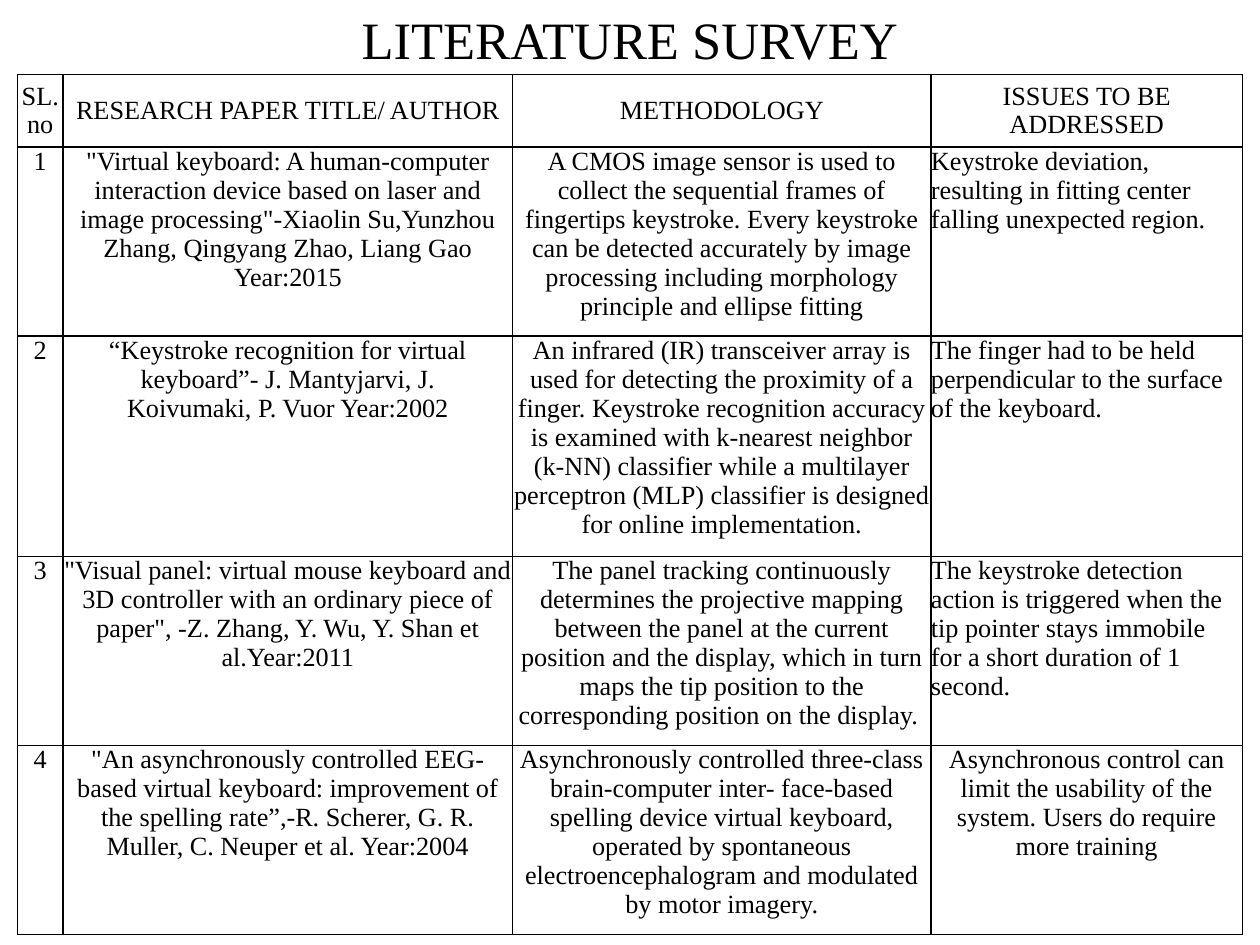
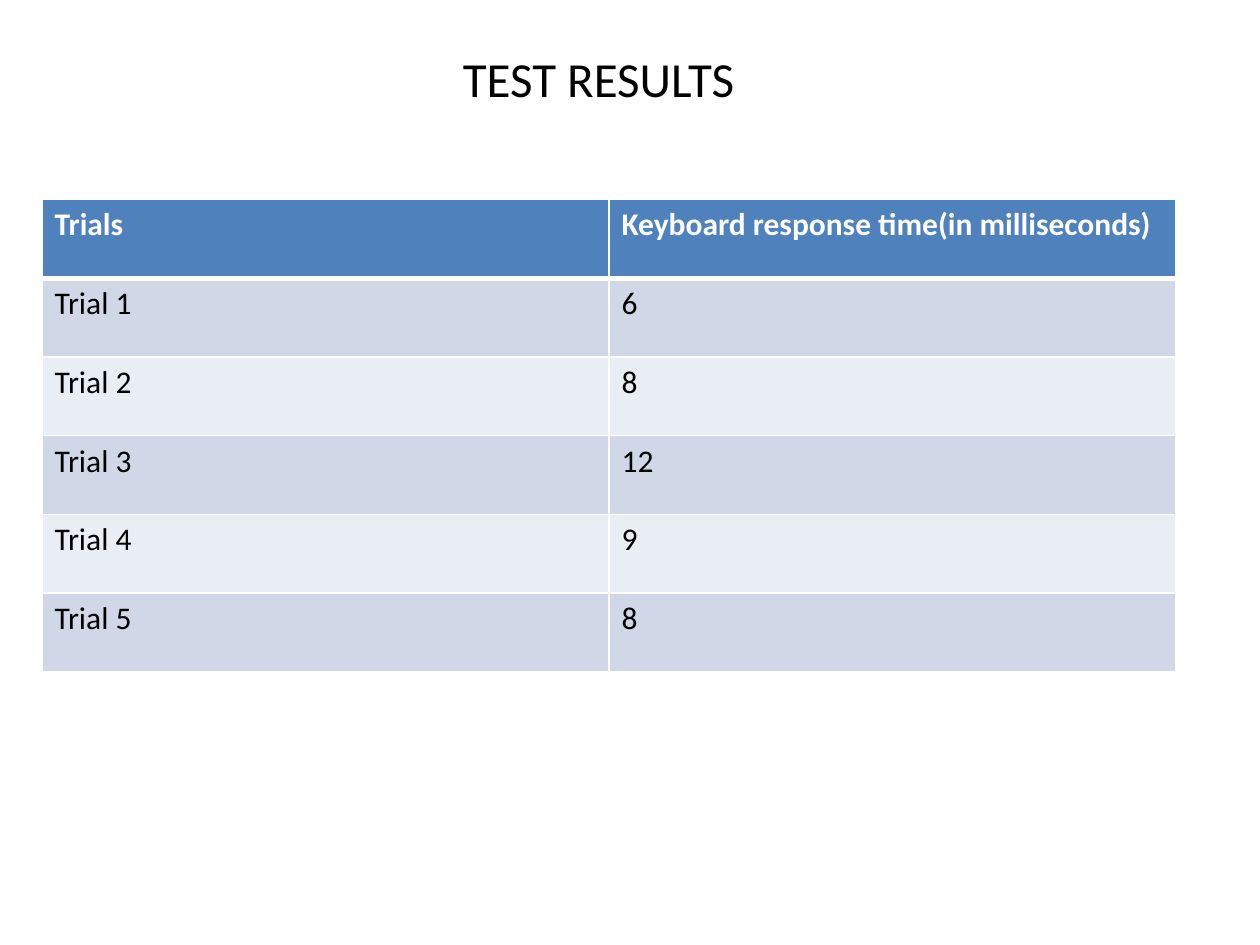
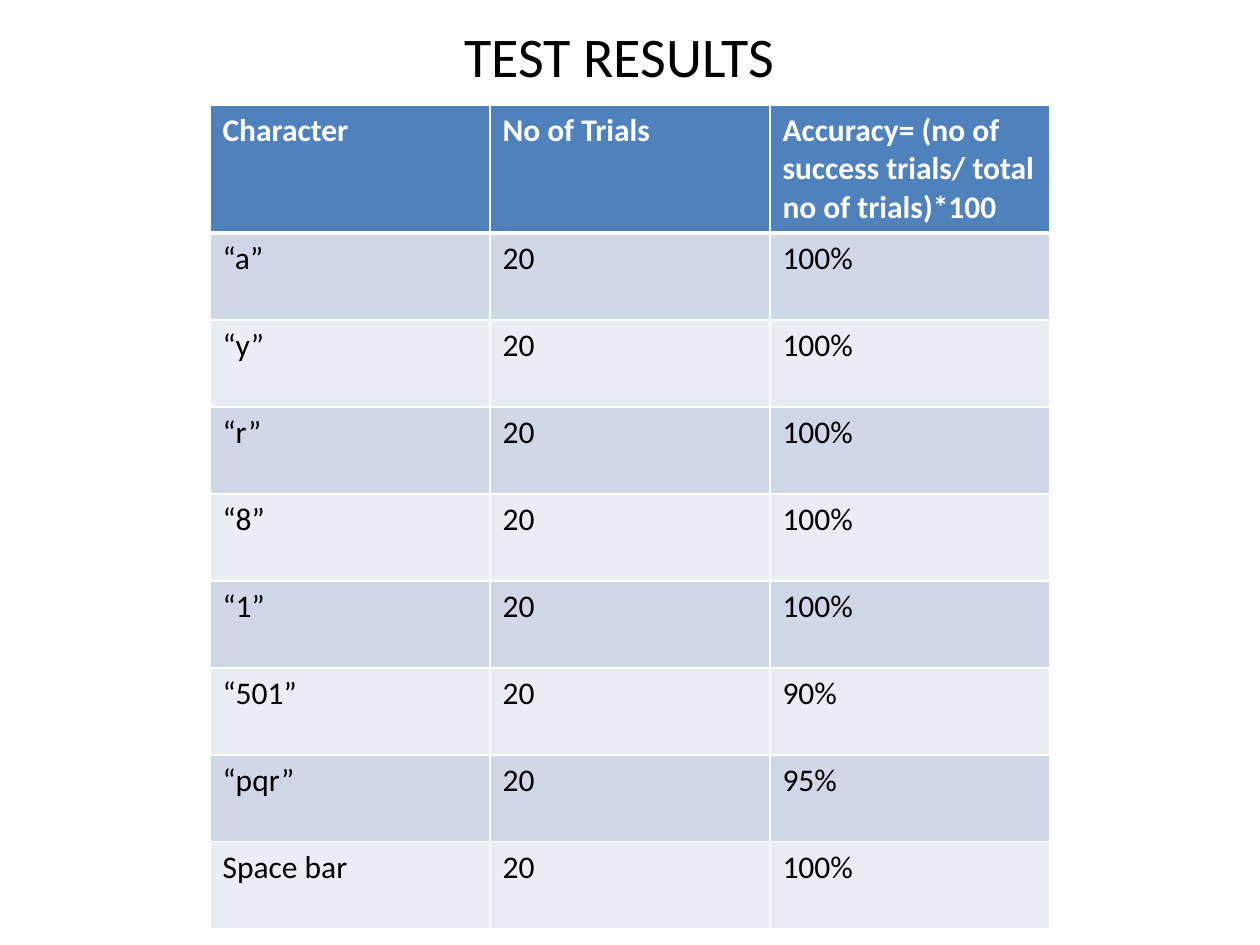
import pptx
import pptx.dml.color
import pptx.enum.text
import pptx.oxml.ns
import pptx.util
from dataclasses import dataclass
from lxml import etree

Pt = pptx.util.Pt
ALIGN = pptx.enum.text.PP_ALIGN
ANCHOR = pptx.enum.text.MSO_ANCHOR
qn = pptx.oxml.ns.qn


@dataclass(frozen=True)
class Theme:
    """Colours, fonts and type sizes shared by the slides."""
    ink: str = "000000"
    paper: str = "FFFFFF"
    header: str = "4F81BD"
    bands: tuple = ("D0D8E8", "E9EDF4")
    serif: str = "Times New Roman"
    sans: str = "Calibri"
    survey_title: int = 30
    response_title: int = 28
    accuracy_title: int = 32
    survey_text: int = 15
    result_text: int = 18
    rule: int = 1
    heavy_rule: int = 3


theme = Theme()


def style_text(text_frame, font_name, size, color, bold, alignment):
    """Format every paragraph and run of a text frame."""
    for paragraph in text_frame.paragraphs:
        paragraph.alignment = alignment
        for run in paragraph.runs:
            run.font.name = font_name
            run.font.size = Pt(size)
            run.font.bold = bold
            run.font.color.rgb = pptx.dml.color.RGBColor.from_string(color)


def rule_cell(cell, color, top, bottom):
    """Draw the four borders of a table cell; top and bottom are weights."""
    properties = cell._tc.get_or_add_tcPr()
    weights = {"a:lnL": theme.rule, "a:lnR": theme.rule, "a:lnT": top, "a:lnB": bottom}
    for tag, weight in weights.items():
        line = etree.SubElement(properties, qn(tag), w=str(int(Pt(weight))))
        fill = etree.SubElement(line, qn("a:solidFill"))
        etree.SubElement(fill, qn("a:srgbClr"), val=color)


presentation = pptx.Presentation()
presentation.slide_width = Pt(720)
presentation.slide_height = Pt(540)
title_only = presentation.slide_layouts[5]

# Titles: text, font, size, box (left, top, width, height), anchor
titles = [
    ("LITERATURE SURVEY", theme.serif, theme.survey_title, (50, -11, 620, 65.5), ANCHOR.MIDDLE),
    ("TEST RESULTS", theme.sans, theme.response_title, (24, 24, 636, 41), ANCHOR.TOP),
    ("TEST RESULTS", theme.sans, theme.accuracy_title, (30, 0, 648, 63), ANCHOR.MIDDLE),
]
slides = []
for text, font_name, size, box, anchor in titles:
    slide = presentation.slides.add_slide(title_only)
    title = slide.shapes.title
    title.left, title.top, title.width, title.height = (Pt(length) for length in box)
    title.text_frame.text = text
    title.text_frame.auto_size = pptx.enum.text.MSO_AUTO_SIZE.NONE
    title.text_frame.vertical_anchor = anchor
    style_text(title.text_frame, font_name, size, theme.ink, False, ALIGN.CENTER)
    slides.append(slide)
survey_slide, response_slide, accuracy_slide = slides

# Literature survey: a ruled table without fills
survey_rows = [
    ("SL.no", "RESEARCH PAPER TITLE/ AUTHOR", "METHODOLOGY", "ISSUES TO BE ADDRESSED"),
    ("1",
     '"Virtual keyboard: A human-computer interaction device based on laser and image '
     'processing"-Xiaolin Su,Yunzhou Zhang,\u00a0Qingyang Zhao,\u00a0Liang Gao Year:2015',
     "A CMOS image sensor is used to collect the sequential frames of fingertips keystroke. "
     "Every keystroke can be detected accurately by image processing including morphology "
     "principle and ellipse fitting",
     "Keystroke deviation, resulting in fitting center falling unexpected region."),
    ("2",
     "“Keystroke recognition for\u00a0virtual keyboard”- J. Mantyjarvi,\u00a0J. "
     "Koivumaki,\u00a0P. Vuor Year:2002",
     "An infrared (IR) transceiver array is used for detecting the proximity of a finger. "
     "Keystroke recognition accuracy is examined with k-nearest neighbor (k-NN) classifier "
     "while a multilayer perceptron (MLP) classifier is designed for online implementation.",
     "The finger had to be held perpendicular to the surface of the keyboard."),
    ("3",
     '"Visual panel: virtual mouse keyboard and 3D controller with an ordinary piece of '
     'paper",\u00a0-Z. Zhang, Y. Wu, Y. Shan et al.Year:2011',
     "The panel tracking continuously determines the projective mapping between the panel at "
     "the current position and the display, which in turn maps the tip position to the "
     "corresponding position on the display. ",
     "The keystroke detection action is triggered when the tip pointer stays immobile for a "
     "short duration of 1 second."),
    ("4",
     '"An asynchronously controlled EEG-based virtual keyboard: improvement of the spelling '
     'rate”,-R. Scherer, G. R. Muller, C. Neuper et al. Year:2004',
     "Asynchronously controlled three-class brain-computer inter- face-based spelling device "
     "virtual keyboard, operated by spontaneous electroencephalogram and modulated by motor "
     "imagery.",
     "Asynchronous control can limit the usability of the system. Users do require more "
     "training"),
]
survey_widths = [26, 257, 239, 178]
survey_heights = [41.5, 108, 126, 108, 108]
survey_table = survey_slide.shapes.add_table(
    len(survey_rows), len(survey_widths), Pt(10), Pt(42.5),
    Pt(sum(survey_widths)), Pt(sum(survey_heights))).table
for column, width in zip(survey_table.columns, survey_widths):
    column.width = Pt(width)
for row_index, values in enumerate(survey_rows):
    survey_table.rows[row_index].height = Pt(survey_heights[row_index])
    for column_index, value in enumerate(values):
        cell = survey_table.cell(row_index, column_index)
        cell.text_frame.text = value
        cell.margin_left = cell.margin_right = cell.margin_top = cell.margin_bottom = 0
        cell.vertical_anchor = ANCHOR.MIDDLE if row_index == 0 else ANCHOR.TOP
        flush_left = column_index == 3 and row_index in (1, 2, 3)
        style_text(cell.text_frame, theme.serif, theme.survey_text, theme.ink, False,
                   ALIGN.LEFT if flush_left else ALIGN.CENTER)
        rule_cell(cell, theme.ink, theme.rule, theme.rule)
        cell.fill.background()

# Test results: two banded tables in one style
response_rows = [("Trials", "Keyboard response time(in milliseconds)")]
response_rows += [(f"Trial {number}", time)
                  for number, time in enumerate(("6", "8", "12", "9", "8"), start=1)]
accuracy_rows = [("Character", "No of Trials",
                  "Accuracy= (no of success trials/ total no of trials)*100")]
accuracy_rows += [(character, "20", accuracy) for character, accuracy in (
    ("“a”", "100%"), ("“y”", "100%"), ("“r”", "100%"), ("“8”", "100%"),
    ("“1”", "100%"), ("“501”", "90%"), ("“pqr”", "95%"), ("Space bar", "100%"))]

# Slide, rows, left, top, column width, header height, row height
result_tables = [
    (response_slide, response_rows, 24, 114, 324, 45, 45),
    (accuracy_slide, accuracy_rows, 120, 60, 160, 73, 49.7),
]
for slide, rows, left, top, column_width, header_height, row_height in result_tables:
    column_count = len(rows[0])
    table = slide.shapes.add_table(
        len(rows), column_count, Pt(left), Pt(top), Pt(column_width * column_count),
        Pt(header_height + row_height * (len(rows) - 1))).table
    for column in table.columns:
        column.width = Pt(column_width)
    for row_index, values in enumerate(rows):
        is_header = row_index == 0
        table.rows[row_index].height = Pt(header_height if is_header else row_height)
        for column_index, value in enumerate(values):
            cell = table.cell(row_index, column_index)
            cell.text_frame.text = value
            style_text(cell.text_frame, theme.sans, theme.result_text,
                       theme.paper if is_header else theme.ink, is_header, ALIGN.LEFT)
            rule_cell(cell, theme.paper,
                      theme.heavy_rule if row_index == 1 else theme.rule,
                      theme.heavy_rule if is_header else theme.rule)
            cell.fill.solid()
            cell.fill.fore_color.rgb = pptx.dml.color.RGBColor.from_string(
                theme.header if is_header else theme.bands[(row_index - 1) % 2])

presentation.save("out.pptx")
